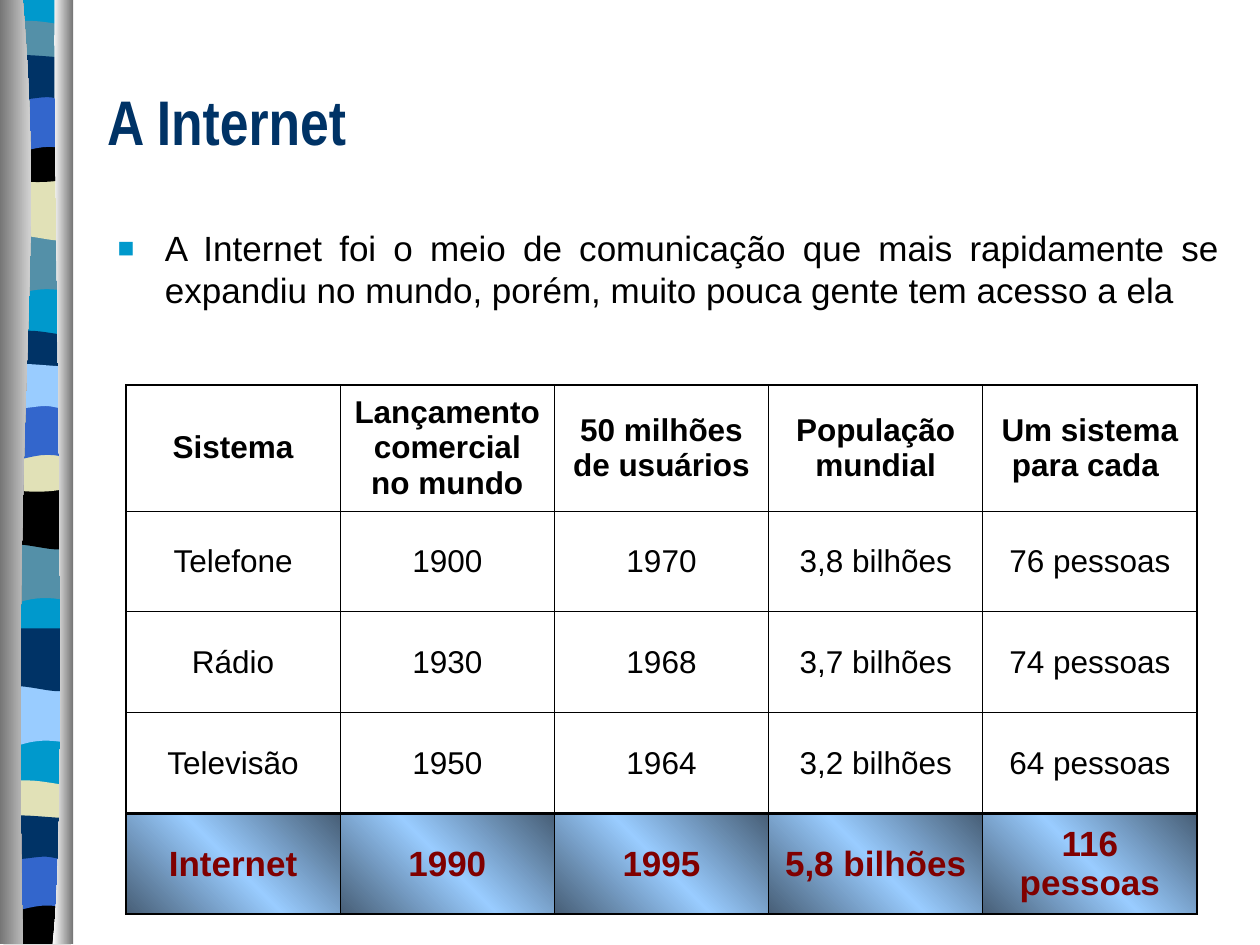
import pptx
import pptx.dml.color
import pptx.enum.text
import pptx.oxml
import pptx.oxml.ns
import pptx.util
from lxml import etree

Pt = pptx.util.Pt
RGBColor = pptx.dml.color.RGBColor
qn = pptx.oxml.ns.qn
ALIGN = pptx.enum.text.PP_ALIGN
MIDDLE = pptx.enum.text.MSO_ANCHOR.MIDDLE

BLACK = RGBColor(0x00, 0x00, 0x00)
WHITE = RGBColor(0xFF, 0xFF, 0xFF)
NAVY = RGBColor(0x00, 0x33, 0x66)
CYAN = RGBColor(0x00, 0x99, 0xCC)
TEAL = RGBColor(0x54, 0x90, 0xA8)
SAND = RGBColor(0xE1, 0xE1, 0xB7)
BLUE = RGBColor(0x33, 0x66, 0xCC)
SKY = RGBColor(0x99, 0xCC, 0xFF)
SLATE = RGBColor(0x47, 0x5E, 0x76)
MAROON = RGBColor(0x80, 0x00, 0x00)
GRAY = RGBColor(0x76, 0x76, 0x76)

TITLE = "A Internet"
STATEMENT = ("A Internet foi o meio de comunicação que mais rapidamente se "
             "expandiu no mundo, porém, muito pouca gente tem acesso a ela")
ROWS = [
    ("Sistema", "Lançamento comercial no mundo", "50 milhões de usuários",
     "População mundial", "Um sistema para cada "),
    ("Telefone", "1900", "1970", "3,8 bilhões", "76 pessoas"),
    ("Rádio", "1930", "1968", "3,7 bilhões", "74 pessoas"),
    ("Televisão", "1950", "1964", "3,2 bilhões", "64 pessoas"),
    ("Internet", "1990", "1995", "5,8 bilhões", "116 pessoas"),
]
ROW_HEIGHTS = [72] + [57.6] * 4
COLUMN_WIDTH = 122.4
THIN, OUTER, THICK = 0.45, 1.08, 1.47

BAND_WIDTH = 38.5
FLAT_TOP = [(0, 0), (BAND_WIDTH, 0)]
FLAT_BOTTOM = FLAT_TOP[::-1]
DIP_TOP = [(0, 0), (23, 3.5), (30.5, 0), (38.5, 0)]
WAVES = {
    "flat": (FLAT_TOP, FLAT_BOTTOM),
    "ripple": (FLAT_TOP, [(38.5, 0), (12, -6), (6.5, 6), (0, 0)]),
    "slope": (FLAT_TOP, [(38.5, 0), (32, 6), (11.5, -4), (0, 0)]),
    "crest": ([(0, 0), (2.5, -3.5), (8.5, -3), (15, -3),
               (21.5, -3), (33.5, -0.5), (38.5, 0)],
              [(38.5, 0), (32, 3), (6, 3), (0, 0)]),
    "dip": (DIP_TOP, [(38.5, 0), (32, 4), (6, 4), (0, 0)]),
    "base": (DIP_TOP, FLAT_BOTTOM),
    "hill": (FLAT_TOP, [(38.5, 0), (32.5, -4), (30, -4), (24, -4),
                        (17.5, -4), (6, 0), (0, 0)]),
    "swell": ([(0, 0), (5.5, -3.5), (26, 0), (38.5, 0)],
              [(38.5, 0), (36, 3.5), (30, 0), (24, 0),
               (17.5, 0), (4, 3.5), (0, 0)]),
}
BANDS = [
    (CYAN, "flat", 3, -0.5, 537),
    (TEAL, "ripple", 2.5, 133, 167), (SAND, "slope", 3, 101.5, 135.5),
    (TEAL, "crest", 3, 15, 33), (BLACK, "dip", 2.5, 78, 101),
    (BLUE, "hill", 3, 54, 88), (NAVY, "swell", 3, 33, 55.5),
    (TEAL, "ripple", 1.5, 309.5, 343.5), (BLACK, "slope", 1.5, 278, 312),
    (NAVY, "crest", 2, 192, 209.5), (SAND, "dip", 2, 254, 278),
    (BLUE, "hill", 2, 230.5, 264), (SKY, "swell", 2, 209.5, 232),
    (SKY, "ripple", 2, 391.5, 425), (NAVY, "slope", 2, 359, 393),
    (SAND, "crest", 1.5, 449, 466.5), (BLACK, "base", 2, 512, 539.5),
    (BLUE, "hill", 1.5, 487.5, 521.5), (NAVY, "swell", 1.5, 467.5, 489.5),
]
RAILS = [
    ([(13, 0), (26, 156), (6.5, 213), (13, 539.5)], 0, (GRAY, WHITE)),
    ([(31.5, -0.5), (30, 90), (40, 469), (30, 539.5)], 41.8, (WHITE, GRAY)),
]


def add_outline(slide, first_edge, second_edge):
    points = [(Pt(x), Pt(y)) for x, y in first_edge + second_edge]
    builder = slide.shapes.build_freeform(*points[0])
    builder.add_line_segments(points[1:], close=True)
    outline = builder.convert_to_shape()
    outline.shadow.inherit = False
    outline.line.fill.background()
    lines = list(outline._element.iter(qn("a:lnTo")))
    for edge, offset in ((first_edge, 0), (second_edge, len(first_edge))):
        if len(edge) > 2:
            for start in range(offset, offset + len(edge) - 1, 3):
                bend(lines[start:start + 3])
    return outline


def bend(lines):
    curve = etree.Element(qn("a:cubicBezTo"))
    lines[0].addprevious(curve)
    for line in lines:
        curve.append(line[0])
        line.getparent().remove(line)


def set_gradient(owner, element, colours, angle):
    owner.fill.gradient()
    owner.fill.gradient_angle = angle
    stops = next(element.iter(qn("a:gsLst")))
    for stop in list(stops):
        stops.remove(stop)
    for index, colour in enumerate(colours):
        position = index * 100000 // (len(colours) - 1)
        stop = etree.SubElement(stops, qn("a:gs"), pos=str(position))
        etree.SubElement(stop, qn("a:srgbClr"), val=str(colour))


def add_text(paragraph, text, size, colour, font="Arial", bold=False):
    run = paragraph.add_run()
    run.text = text
    run.font.name = font
    run.font.size = Pt(size)
    run.font.bold = bold
    run.font.color.rgb = colour


def set_border(cell, side, width):
    line = etree.SubElement(cell._tc.get_or_add_tcPr(), qn("a:" + side), w=str(Pt(width)))
    fill = etree.SubElement(line, qn("a:solidFill"))
    etree.SubElement(fill, qn("a:srgbClr"), val=str(BLACK))


def add_ribbon(slide):
    for colour, wave, left, top, bottom in BANDS:
        upper, lower = WAVES[wave]
        band = add_outline(slide,
                           [(left + x, top + y) for x, y in upper],
                           [(left + x, bottom + y) for x, y in lower])
        band.fill.solid()
        band.fill.fore_color.rgb = colour
    for edge, side, colours in RAILS:
        rail = add_outline(slide, edge, [(side, 539.5), (side, 0)])
        set_gradient(rail, rail._element, colours, 0)


def add_title(slide):
    title = slide.shapes.title
    title.left, title.top, title.width, title.height = Pt(54), Pt(23.76), Pt(650), Pt(90)
    title.text_frame.vertical_anchor = MIDDLE
    heading = title.text_frame.paragraphs[0]
    heading.alignment = ALIGN.LEFT
    add_text(heading, TITLE, 36, NAVY, "Arial Narrow", True)


def add_statement(slide):
    body = slide.shapes.add_textbox(Pt(60.1), Pt(126), Pt(644), Pt(354))
    body.text_frame.word_wrap = True
    statement = body.text_frame.paragraphs[0]
    statement.alignment = ALIGN.JUSTIFY
    properties = statement._p.get_or_add_pPr()
    properties.set("marL", str(Pt(27)))
    properties.set("indent", str(Pt(-27)))
    colour = etree.SubElement(properties, qn("a:buClr"))
    etree.SubElement(colour, qn("a:srgbClr"), val=str(CYAN))
    etree.SubElement(properties, qn("a:buSzPct"), val="80000")
    etree.SubElement(properties, qn("a:buFont"), typeface="Arial")
    etree.SubElement(properties, qn("a:buChar"), char="■")
    add_text(statement, STATEMENT, 20, BLACK)


def add_systems_table(slide):
    last_row, last_column = len(ROWS) - 1, len(ROWS[0]) - 1
    systems = slide.shapes.add_table(
        len(ROWS), len(ROWS[0]), Pt(72), Pt(220),
        Pt(COLUMN_WIDTH * len(ROWS[0])), Pt(sum(ROW_HEIGHTS))).table
    systems.first_row = systems.horz_banding = False
    for column in systems.columns:
        column.width = Pt(COLUMN_WIDTH)
    for r, values in enumerate(ROWS):
        systems.rows[r].height = Pt(ROW_HEIGHTS[r])
        highlight = r == last_row
        outer = THICK if highlight else OUTER
        for c, value in enumerate(values):
            cell = systems.cell(r, c)
            cell.vertical_anchor = MIDDLE
            set_border(cell, "lnL", outer if c == 0 else THIN)
            set_border(cell, "lnR", outer if c == last_column else THIN)
            set_border(cell, "lnT", outer if r in (0, last_row) else THIN)
            set_border(cell, "lnB", THICK if r >= last_row - 1 else THIN)
            if highlight:
                set_gradient(cell, cell._tc, (SLATE, SKY, SLATE), 45)
            else:
                cell.fill.background()
            entry = cell.text_frame.paragraphs[0]
            entry.alignment = ALIGN.CENTER
            add_text(entry, value, 20 if highlight else 18,
                     MAROON if highlight else BLACK, bold=r in (0, last_row))


def main():
    deck = pptx.Presentation()
    deck.slide_width, deck.slide_height = Pt(720), Pt(540)
    slide = deck.slides.add_slide(deck.slide_layouts[5])
    add_ribbon(slide)
    add_title(slide)
    add_statement(slide)
    add_systems_table(slide)
    deck.save("out.pptx")


if __name__ == "__main__":
    main()
